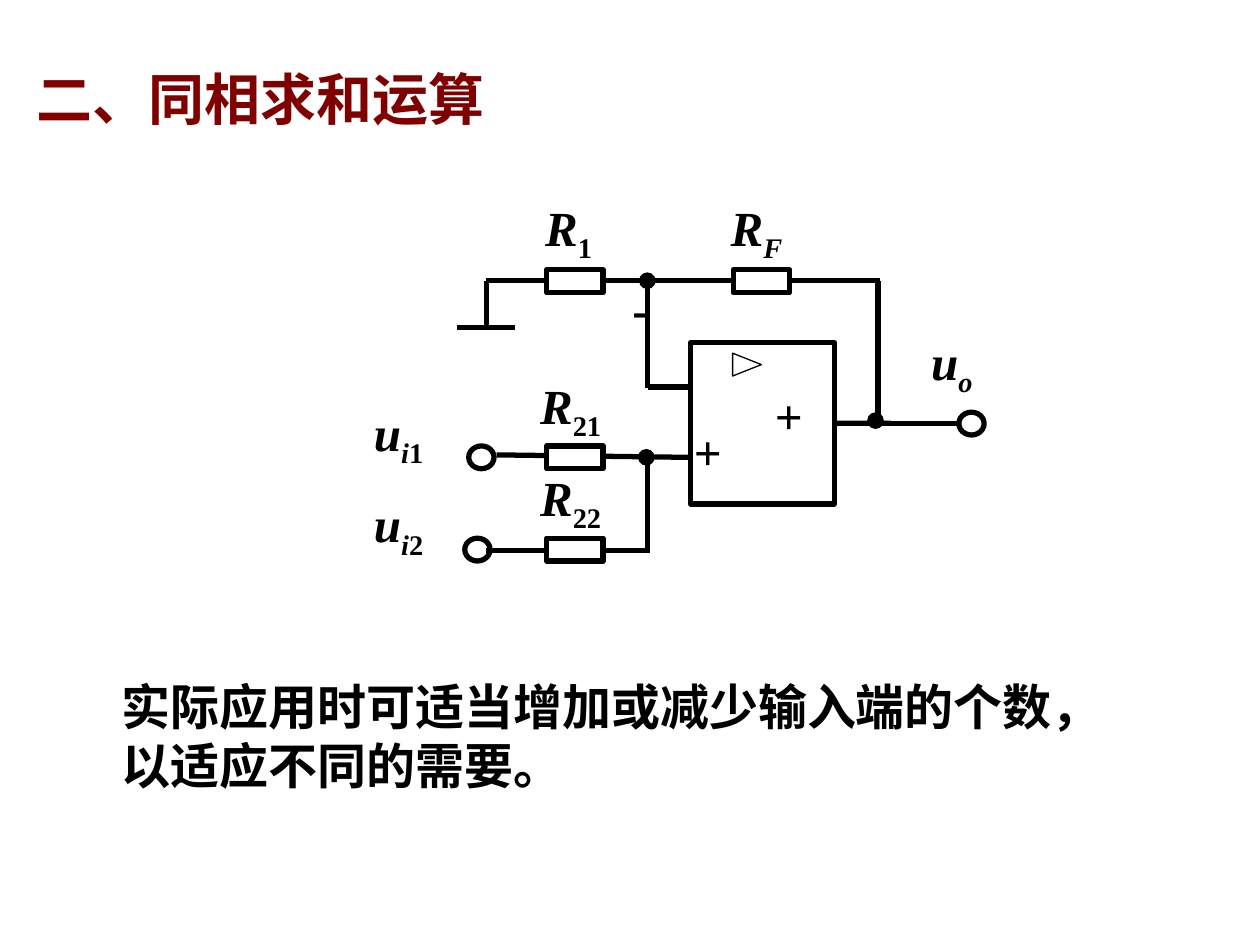
from dataclasses import dataclass

from lxml.etree import SubElement
from pptx import Presentation
from pptx.dml.color import RGBColor
from pptx.enum.shapes import MSO_CONNECTOR as Connector, MSO_SHAPE as Preset
from pptx.oxml.ns import qn
from pptx.util import Cm, Pt


@dataclass(frozen=True)
class Theme:
    """Colours, fonts, type sizes and line widths."""
    ink: RGBColor = RGBColor(0, 0, 0)
    paper: RGBColor = RGBColor(255, 255, 255)
    heading: RGBColor = RGBColor(128, 0, 0)
    latin: str = "Times New Roman"
    chinese: str = "Noto Sans CJK SC"
    heading_size: Pt = Pt(32)
    body_size: Pt = Pt(28)
    stroke: Pt = Pt(3)
    node_stroke: Pt = Pt(1)
    thin: Pt = Pt(0.75)


THEME = Theme()


def add_words(slide, box, runs, size=THEME.body_size, color=THEME.ink, latin=THEME.latin):
    """Add a bold text box from (text, italic, subscript) runs."""
    words = slide.shapes.add_textbox(*map(Cm, box))
    words.text_frame.word_wrap = True
    paragraph = words.text_frame.paragraphs[0]
    for text, italic, subscript in runs:
        run = paragraph.add_run()
        run.text = text
        font = run.font
        font.name, font.size, font.bold, font.italic = latin, size, True, italic
        font.color.rgb = color
        properties = run._r.get_or_add_rPr()
        SubElement(properties, qn("a:ea")).set("typeface", THEME.chinese)
        if subscript:
            properties.set("baseline", "-25000")


def add_label(slide, left, top, width, *runs):
    """Add a circuit label of one line."""
    add_words(slide, (left, top, width, 1.45), runs)


def add_wire(slide, x1, y1, x2, y2):
    """Add a straight wire and return it."""
    wire = slide.shapes.add_connector(Connector.STRAIGHT, *map(Cm, (x1, y1, x2, y2)))
    wire.line.color.rgb = THEME.ink
    wire.line.width = THEME.stroke
    SubElement(wire._element.spPr, qn("a:effectLst"))
    return wire


def add_part(slide, preset, box, fill=None, stroke=THEME.stroke):
    """Add an outlined circuit part and return it."""
    part = slide.shapes.add_shape(preset, *map(Cm, box))
    part.shadow.inherit = False
    if fill is None:
        part.fill.background()
    else:
        part.fill.solid()
        part.fill.fore_color.rgb = fill
    part.line.color.rgb = THEME.ink
    part.line.width = stroke
    return part


def add_wiring(slide):
    """Draw the wires that lie behind the parts."""
    for ends in (
        (10.01, 9.17, 13.92, 9.22),
        (9.8, 11.1, 13.11, 11.1),
        (9.8, 5.66, 17.73, 5.66),
        (13.06, 7.8, 13.92, 7.8),
        (13.06, 5.74, 13.06, 7.82),
        (17.7, 5.66, 17.7, 8.48),
        (9.8, 5.66, 9.8, 6.6),
        (9.22, 6.6, 10.39, 6.6),
        (13.06, 9.3, 13.06, 11.15),
    ):
        add_wire(slide, *ends)


def add_amplifier(slide):
    """Draw the amplifier, its gain mark and its output wire."""
    amplifier = add_part(slide, Preset.RECTANGLE, (13.92, 6.91, 2.9, 3.25))
    gain = add_part(slide, Preset.FLOWCHART_MERGE, (14.83, 7.06, 0.46, 0.58), stroke=THEME.thin)
    gain.rotation = 270
    output = add_wire(slide, 16.82, 8.53, 17.96, 8.53)
    output.begin_connect(amplifier, 3)
    add_wire(slide, 17.37, 8.53, 19.38, 8.53)


def add_components(slide):
    """Draw the resistors, terminals and junctions."""
    for left, top in ((11.02, 5.44), (14.78, 5.44), (11.02, 8.99), (11.02, 10.85)):
        add_part(slide, Preset.RECTANGLE, (left, top, 1.14, 0.46), THEME.paper)
    for left, top in ((9.45, 8.99), (9.37, 10.85), (19.33, 8.31)):
        add_part(slide, Preset.OVAL, (left, top, 0.51, 0.46))
    for left, top in ((12.9, 5.51), (12.88, 9.07), (17.5, 8.33)):
        add_part(slide, Preset.OVAL, (left, top, 0.3, 0.3), THEME.ink, THEME.node_stroke)


def add_labels(slide):
    """Name the resistors, voltages and amplifier inputs."""
    for left, top, width, index, italic in (
        (10.74, 3.86, 2.59, "1", False),
        (14.48, 3.86, 3.96, "F", True),
        (10.64, 7.44, 3.38, "21", False),
        (10.64, 9.3, 2.9, "22", False),
    ):
        add_label(slide, left, top, width, ("R", True, False), (index, italic, True))
    for top, width, index in ((7.98, 2.9, "1"), (9.83, 2.31, "2")):
        add_label(slide, 7.29, top, width,
                  ("u", True, False), ("i", True, True), (index, False, True))
    add_label(slide, 18.52, 6.55, 2.31, ("u", True, False), ("o", True, True))
    for left, top, width, sign in (
        (12.5, 5.49, 1.65, "-"), (13.74, 8.38, 2.59, "+"), (15.37, 7.65, 2.31, "+"),
    ):
        add_label(slide, left, top, width, (sign, False, False))


def main():
    """Build and save the slide."""
    deck = Presentation()
    deck.slide_width, deck.slide_height = Cm(25.4), Cm(19.05)
    slide = deck.slides.add_slide(deck.slide_layouts[6])
    add_words(slide, (0.48, 1.17, 19, 1.6), [("二、同相求和运算", False, False)],
              THEME.heading_size, THEME.heading, THEME.chinese)
    add_words(slide, (2.21, 13.51, 19.99, 2.62),
              [("实际应用时可适当增加或减少输入端的个数，以适应不同的需要。", False, False)])
    add_wiring(slide)
    add_amplifier(slide)
    add_components(slide)
    add_labels(slide)
    deck.save("out.pptx")


if __name__ == "__main__":
    main()
